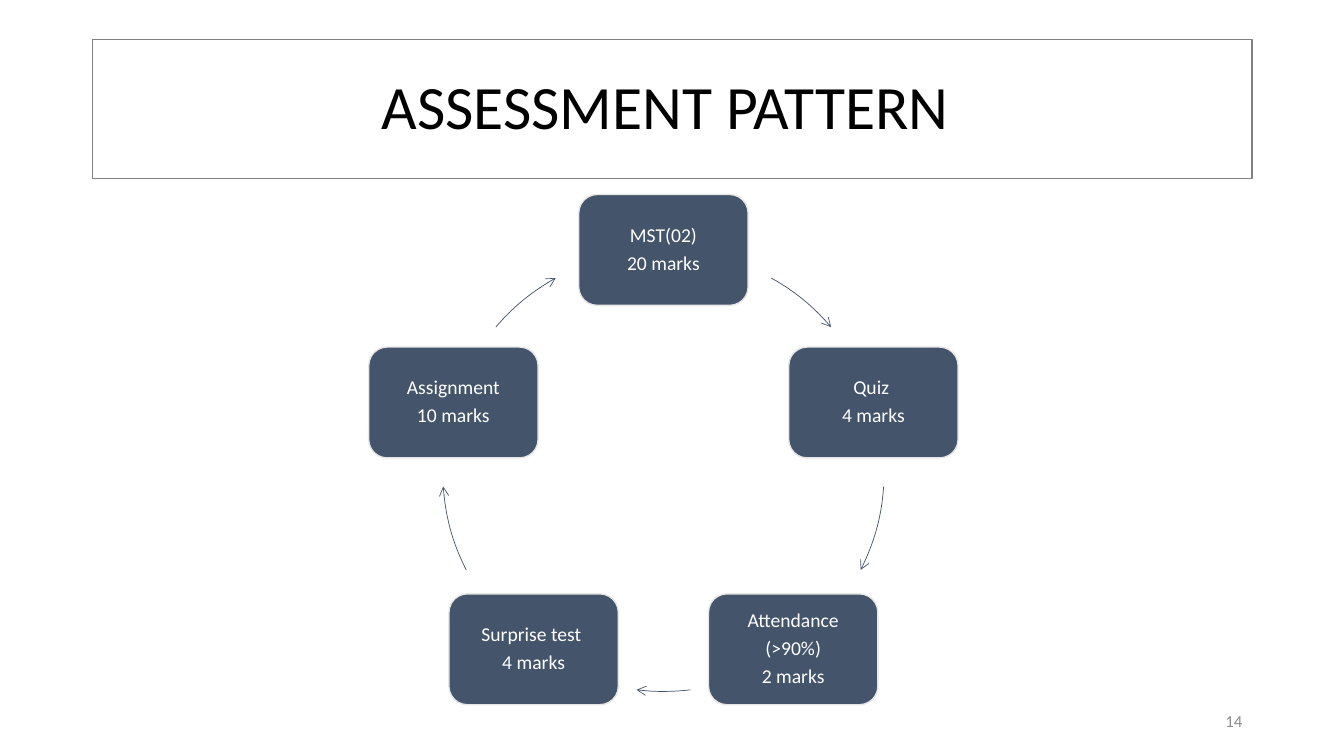
import math

from lxml import etree
from pptx import Presentation
from pptx import util as u
from pptx.dml.color import RGBColor
from pptx.enum import shapes, text
from pptx.oxml.ns import qn

SLATE = RGBColor(0x44, 0x54, 0x6A)
PALE = RGBColor(0xE7, 0xE6, 0xE6)
GRAY = RGBColor(0x80, 0x80, 0x80)
NUMBER_GRAY = RGBColor(0x8C, 0x8C, 0x8C)
BLACK = RGBColor(0, 0, 0)
WHITE = RGBColor(0xFF, 0xFF, 0xFF)

# Circle on which the boxes and arrows lie
CENTER_X, CENTER_Y, RADIUS = 6.58, 4.67, 2.19
BOX_WIDTH, BOX_HEIGHT = 1.68, 1.1


def write(box, lines, size, color, align, **paragraph_format):
    """Fill a shape with one formatted paragraph per line."""
    frame = box.text_frame
    frame.word_wrap = True
    frame.vertical_anchor = text.MSO_ANCHOR.MIDDLE
    frame.text = "\n".join(lines)
    for para in frame.paragraphs:
        para.alignment = align
        for name, value in paragraph_format.items():
            setattr(para, name, value)
        for name, value in {"name": "Calibri", "size": u.Pt(size)}.items():
            setattr(para.font, name, value)
        para.font.color.rgb = color


def outline(shape, color, width):
    """Remove the shadow and set the line of a shape."""
    shape.shadow.inherit = False
    shape.line.color.rgb = color
    shape.line.width = u.Pt(width)


deck = Presentation()
deck.slide_width, deck.slide_height = u.Inches(13.33), u.Inches(7.5)
page = deck.slides.add_slide(deck.slide_layouts[5])

# Title
title = page.shapes.title
places = {"left": 0.92, "top": 0.39, "width": 11.5, "height": 1.4}
for name, value in places.items():
    setattr(title, name, u.Inches(value))
write(title, ["ASSESSMENT PATTERN "], 44, BLACK, text.PP_ALIGN.CENTER,
      line_spacing=0.9)

# Slide number
number = page.shapes.add_textbox(
    u.Inches(9.42), u.Inches(6.95), u.Inches(3), u.Inches(0.4))
write(number, ["14"], 12, NUMBER_GRAY, text.PP_ALIGN.RIGHT)

# Frame around the title
border = page.shapes.add_shape(
    shapes.MSO_SHAPE.RECTANGLE,
    u.Inches(0.92), u.Inches(0.39), u.Inches(11.5), u.Inches(1.38))
border.fill.background()
outline(border, GRAY, 1)

# Cycle: each box with the start and end angle of the arrow that
# follows it, in degrees clockwise from the top
cycle = [
    (["MST(02)", "20 marks"], 29.2, 49.4),
    (["Quiz ", "4 marks"], 94.1, 116.7),
    (["Attendance", "(>90%)", "2 marks"], 173, 187),
    (["Surprise test ", "4 marks"], 243.3, 265.9),
    (["Assignment", "10 marks"], 310.6, 330.8),
]
for index, (lines, start, end) in enumerate(cycle):
    angle = math.radians(index * 360 / len(cycle))
    box = page.shapes.add_shape(
        shapes.MSO_SHAPE.ROUNDED_RECTANGLE,
        u.Inches(CENTER_X + RADIUS * math.sin(angle) - BOX_WIDTH / 2),
        u.Inches(CENTER_Y - RADIUS * math.cos(angle) - BOX_HEIGHT / 2),
        u.Inches(BOX_WIDTH), u.Inches(BOX_HEIGHT))
    box.fill.solid()
    box.fill.fore_color.rgb = SLATE
    outline(box, PALE, 1)
    for side in ("left", "top", "right", "bottom"):
        setattr(box.text_frame, f"margin_{side}", u.Inches(0.11))
    write(box, lines, 14, WHITE, text.PP_ALIGN.CENTER,
          line_spacing=0.9, space_after=u.Pt(4.9))

    # Arc arrow to the next box; arc angles count from the right,
    # and an adjustment of 0.6 is one degree
    arrow = page.shapes.add_shape(
        shapes.MSO_SHAPE.ARC,
        u.Inches(CENTER_X - RADIUS), u.Inches(CENTER_Y - RADIUS),
        u.Inches(2 * RADIUS), u.Inches(2 * RADIUS))
    for place, degrees in enumerate((start, end)):
        arrow.adjustments[place] = (degrees - 90) % 360 * 0.6
    arrow.fill.background()
    outline(arrow, SLATE, 0.5)
    etree.SubElement(arrow.line._get_or_add_ln(), qn("a:tailEnd"), type="arrow")

deck.save("out.pptx")
